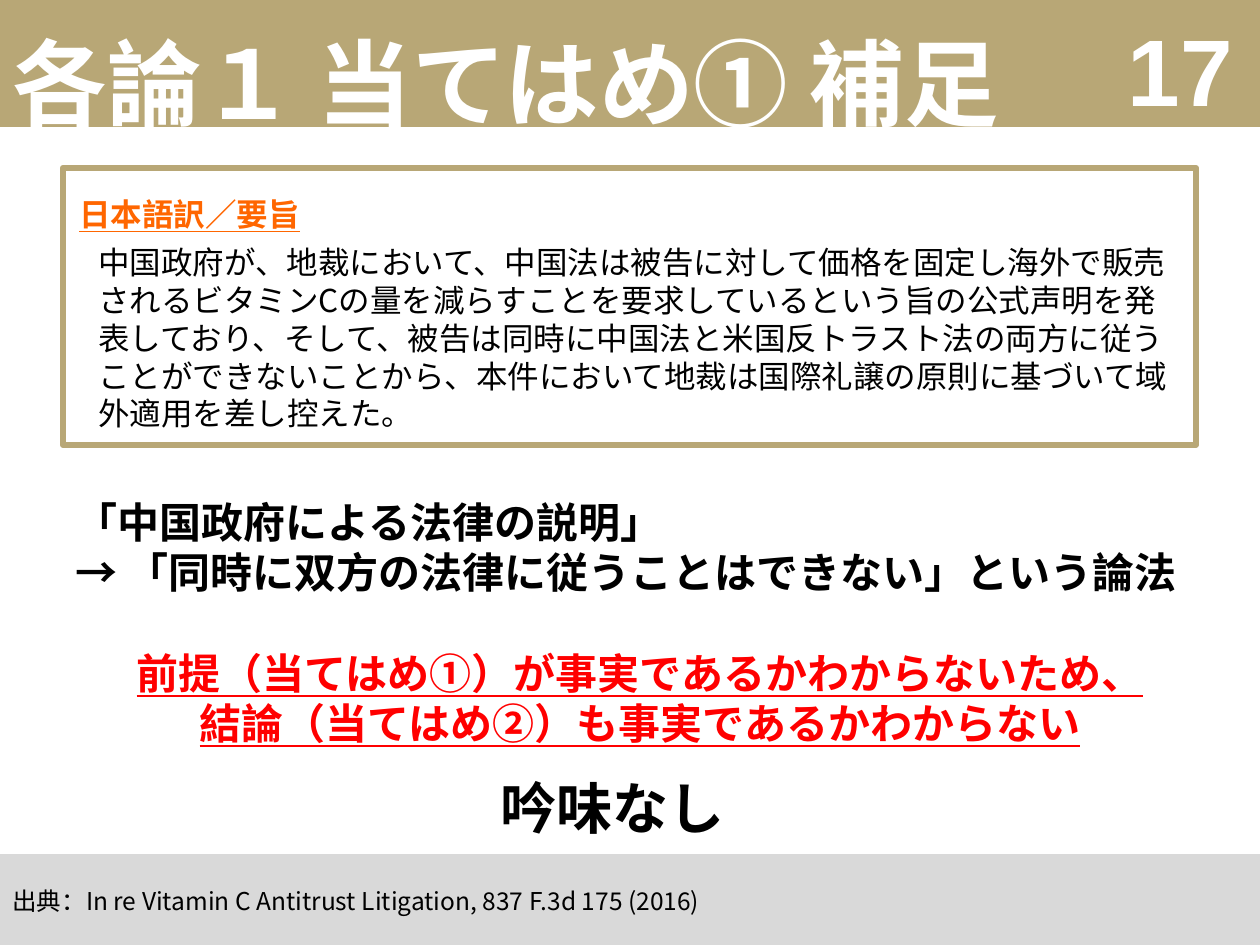
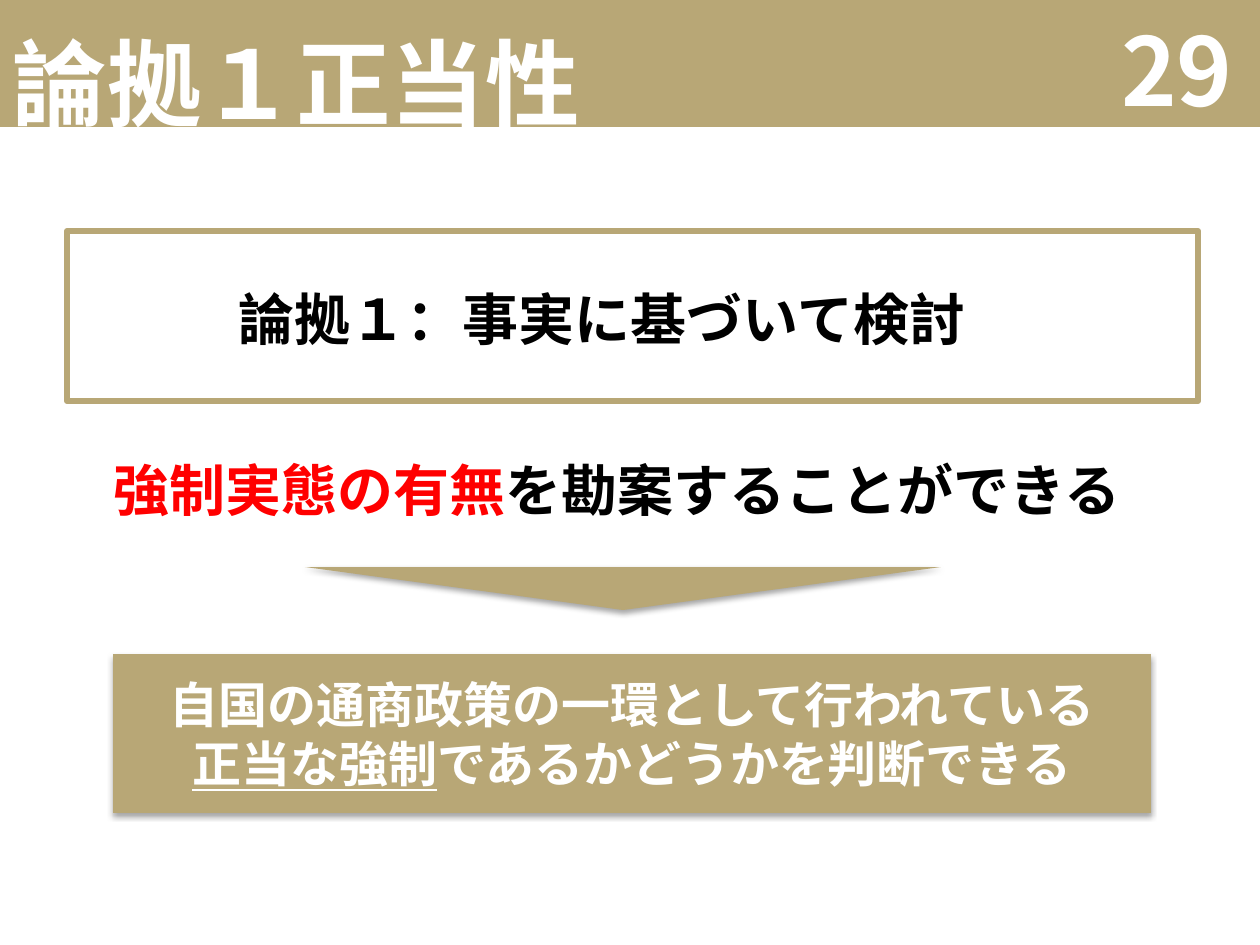
import lxml.etree
import pptx
import pptx.dml.color
import pptx.enum.shapes
import pptx.enum.text
import pptx.oxml.ns
import pptx.util

SCALE = 914400 / 126  # EMU in one px
GOLD, GREY = "B8A776", "D9D9D9"
BLACK, WHITE, RED, ORANGE = "000000", "FFFFFF", "FF0000", "FF6600"
NOTO = "Noto Sans CJK JP"
LEADING = 1.2  # line pitch as a multiple of the text size

ALIGN = pptx.enum.text.PP_ALIGN
ANCHOR = pptx.enum.text.MSO_ANCHOR
SHAPE = pptx.enum.shapes.MSO_SHAPE


def px(length):
    return pptx.util.Emu(round(length * SCALE))


def color(hex_code):
    return pptx.dml.color.RGBColor.from_string(hex_code)


def add_element(parent, tag, **attributes):
    return lxml.etree.SubElement(parent, pptx.oxml.ns.qn(tag), attributes)


def add_span(para, text, size, hue=BLACK, bold=True, underline=False, font=NOTO):
    span = para.add_run()
    span.text = text
    span.font.name = font
    add_element(span.font._element, "a:ea", typeface=NOTO)
    span.font.size = pptx.util.Pt(size)
    span.font.bold = bold
    span.font.underline = underline
    span.font.color.rgb = color(hue)


def write(box, paras, size, align=ALIGN.LEFT, leading=True):
    """Each para is a list of (text, format) pairs."""
    frame = box.text_frame
    for index, spans in enumerate(paras):
        para = frame.add_paragraph() if index else frame.paragraphs[0]
        para.alignment = align
        if leading:
            para.line_spacing = pptx.util.Pt(round(size * LEADING, 1))
        for text, style in spans:
            add_span(para, text, size, **style)
    return frame


def add_text(page, box, paras, size, align=ALIGN.LEFT, wrap=True, leading=True):
    text_box = page.shapes.add_textbox(*map(px, box))
    text_box.text_frame.word_wrap = wrap
    return write(text_box, paras, size, align, leading)


def add_block(page, box, fill=None, line=None, kind=SHAPE.RECTANGLE, shadow=False):
    block = page.shapes.add_shape(kind, *map(px, box))
    block.shadow.inherit = False
    if fill:
        block.fill.solid()
        block.fill.fore_color.rgb = color(fill)
    else:
        block.fill.background()
    if line:
        block.line.color.rgb = color(line)
        block.line.width = pptx.util.Pt(3.5)
    else:
        block.line.fill.background()
    if shadow:
        effects = block._element.spPr.find(pptx.oxml.ns.qn("a:effectLst"))
        outer = add_element(effects, "a:outerShdw", blurRad="39370", dist="22860",
                            dir="5400000", rotWithShape="0")
        tint = add_element(outer, "a:srgbClr", val=BLACK)
        add_element(tint, "a:alpha", val="35000")
    return block


def add_band(layout, page):
    """Put the title band at the back of the shared layout."""
    band = add_block(page, (0, 0, 1260, 127), fill=GOLD)
    layout.shapes._spTree.insert(2, band._element)


def add_heading(page, title, number, number_font=NOTO):
    heading = page.shapes.title
    heading.left, heading.top, heading.width, heading.height = map(px, (0, 3, 1394, 157))
    frame = write(heading, [[(title, {"hue": WHITE, "font": "Karla"})]], 54, leading=False)
    frame.auto_size = pptx.enum.text.MSO_AUTO_SIZE.NONE
    frame.vertical_anchor = ANCHOR.MIDDLE
    frame = add_text(page, (951, 44, 294, 50),
                     [[(number, {"hue": WHITE, "font": number_font})]],
                     54, ALIGN.RIGHT, leading=False)
    frame.vertical_anchor = ANCHOR.MIDDLE


def add_source(page, box, text):
    footer = add_block(page, box, fill=GREY)
    frame = write(footer, [[(text, {"bold": False})]], 14, leading=False)
    frame.vertical_anchor = ANCHOR.MIDDLE


def add_summary(page, box, label, summary):
    left, top, width, height = box
    add_block(page, box, line=GOLD)
    add_text(page, (left + 4, top + 21, width - 39, 50),
             [[(label, {"hue": ORANGE, "underline": True})]], 18)
    add_text(page, (left + 23, top + 69, width - 38, height - 73),
             [[(summary, {"bold": False})]], 18)


def add_argument(page, box, premises, conclusions):
    warning = {"hue": RED, "underline": True}
    paras = [[(text, {})] for text in premises]
    paras += [[(text, warning)] for text in conclusions]
    frame = add_text(page, box, paras, 24)
    conclusion_paras = frame.paragraphs[len(premises):]
    for para in conclusion_paras:
        para.alignment = ALIGN.CENTER
    conclusion_paras[0].space_before = pptx.util.Pt(24 * LEADING)


def add_judgment(page, box, paras):
    """Arrowhead pointing down at a shadowed box."""
    left, top, width, height = box
    arrow = add_block(page, (left + 192, top - 87, 636, 43), fill=GOLD,
                      kind=SHAPE.ISOSCELES_TRIANGLE, shadow=True)
    arrow.rotation = 180
    block = add_block(page, box, fill=GOLD, shadow=True)
    frame = write(block, paras, 28, ALIGN.CENTER)
    frame.vertical_anchor = ANCHOR.MIDDLE


def build_supplement(page):
    add_heading(page, "各論１ 当てはめ① 補足", "17", "Arial")
    add_source(page, (0, 854, 1260, 93),
               "出典：In re Vitamin C Antitrust Litigation, 837 F.3d 175 (2016)")
    add_summary(
        page, (63, 168, 1133, 277), "日本語訳／要旨",
        "中国政府が、地裁において、中国法は被告に対して価格を固定し海外で販売"
        "されるビタミンCの量を減らすことを要求しているという旨の公式声明を"
        "発表しており、そして、被告は同時に中国法と米国反トラスト法の両方に従"
        "うことができないことから、本件において地裁は国際礼譲の原則に基づいて"
        "域外適用を差し控えた。")
    add_argument(
        page, (63, 490, 1154, 318),
        ["「中国政府による法律の説明」",
         "→ 「同時に双方の法律に従うことはできない」という論法"],
        ["前提（当てはめ①）が事実であるかわからないため、",
         "結論（当てはめ②）も事実であるかわからない"])
    add_text(page, (325, 767, 576, 81), [[("吟味なし", {})]], 32, ALIGN.CENTER)


def build_legitimacy(page):
    add_heading(page, "論拠１正当性", "29")
    add_block(page, (67, 231, 1131, 170), line=GOLD)
    add_text(page, (226, 278, 761, 81), [[("論拠１：事実に基づいて検討", {})]],
             32, wrap=False)
    add_text(page, (101, 449, 1043, 81),
             [[("強制実態の有無", {"hue": RED}), ("を勘案することができる", {})]],
             32, wrap=False)
    add_judgment(page, (113, 654, 1038, 159), [
        [("自国の通商政策の一環として行われている", {"hue": WHITE})],
        [("正当な強制", {"hue": WHITE, "underline": True}),
         ("であるかどうかを判断できる", {"hue": WHITE})]])


def main():
    deck = pptx.Presentation()
    deck.slide_width, deck.slide_height = px(1260), px(945)
    layout = deck.slide_layouts.get_by_name("Title Only")
    pages = [deck.slides.add_slide(layout) for _ in range(2)]
    add_band(layout, pages[0])
    build_supplement(pages[0])
    build_legitimacy(pages[1])
    deck.save("out.pptx")


if __name__ == "__main__":
    main()
